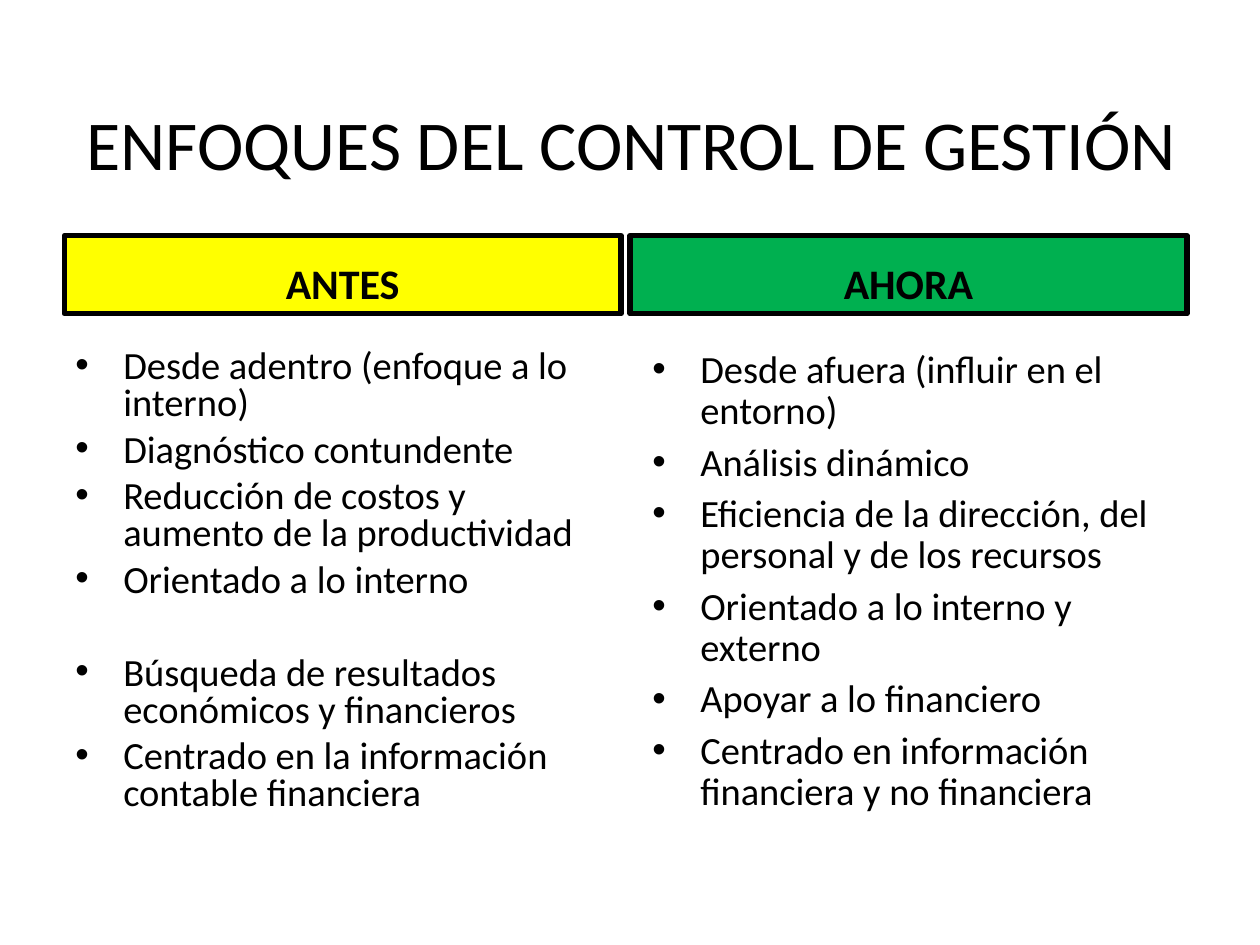
import pptx
import pptx.dml.color
import pptx.enum.shapes
import pptx.enum.text
import pptx.oxml.ns
import pptx.util
from lxml import etree
from pptx.util import Inches

BLACK = pptx.dml.color.RGBColor(0x00, 0x00, 0x00)
YELLOW = pptx.dml.color.RGBColor(0xFF, 0xFF, 0x00)
GREEN = pptx.dml.color.RGBColor(0x00, 0xB0, 0x50)
ALIGN = pptx.enum.text.PP_ALIGN
ANCHOR = pptx.enum.text.MSO_ANCHOR
FONT = "Calibri"
COLUMN_WIDTH = 4.42
ITEM_SPACE = 5.5
GROUP_SPACE = 32

BEFORE_GROUPS = [
    [
        "Desde adentro (enfoque a lo interno)",
        "Diagnóstico contundente",
        "Reducción de costos y aumento de la productividad",
        "Orientado a lo interno",
    ],
    [
        "Búsqueda de resultados económicos y financieros",
        "Centrado en la información contable financiera",
    ],
]
NOW_GROUPS = [
    [
        "Desde afuera (influir en el entorno)",
        "Análisis dinámico",
        "Eficiencia de la dirección, del personal y de los recursos",
        "Orientado a lo interno y externo",
        "Apoyar a lo financiero",
        "Centrado en información financiera y no financiera",
    ],
]


def add_span(para, text, size, bold=False):
    """Add one run of black text to a paragraph."""
    span = para.add_run()
    span.text = text
    span.font.name = FONT
    span.font.size = pptx.util.Pt(size)
    span.font.bold = bold
    span.font.color.rgb = BLACK


def add_title(page, text):
    """Add the centred slide title."""
    box = page.shapes.add_textbox(Inches(0.51), Inches(0.55), Inches(9), Inches(1.17))
    frame = box.text_frame
    frame.word_wrap = True
    frame.vertical_anchor = ANCHOR.MIDDLE
    para = frame.paragraphs[0]
    para.alignment = ALIGN.CENTER
    add_span(para, text, 40)


def add_header(page, left, text, fill):
    """Add a framed column header with its label at the bottom."""
    header = page.shapes.add_shape(
        pptx.enum.shapes.MSO_SHAPE.RECTANGLE,
        Inches(left), Inches(1.87), Inches(COLUMN_WIDTH), Inches(0.62),
    )
    header.shadow.inherit = False
    header.fill.solid()
    header.fill.fore_color.rgb = fill
    header.line.color.rgb = BLACK
    header.line.width = pptx.util.Pt(3)
    frame = header.text_frame
    frame.word_wrap = True
    frame.vertical_anchor = ANCHOR.BOTTOM
    para = frame.paragraphs[0]
    para.alignment = ALIGN.CENTER
    add_span(para, text, 24, bold=True)


def set_bullet(para):
    """Give a paragraph a hanging round bullet."""
    properties = para._p.get_or_add_pPr()
    properties.set("marL", str(Inches(0.38)))
    properties.set("indent", str(-Inches(0.38)))
    font = etree.SubElement(properties, pptx.oxml.ns.qn("a:buFont"))
    font.set("typeface", "Arial")
    bullet = etree.SubElement(properties, pptx.oxml.ns.qn("a:buChar"))
    bullet.set("char", "•")


def add_bullets(page, left, groups, line_spacing):
    """Add a bulleted column, with a wider gap between groups."""
    box = page.shapes.add_textbox(
        Inches(left), Inches(2.73), Inches(COLUMN_WIDTH), Inches(3.93)
    )
    frame = box.text_frame
    frame.word_wrap = True
    para = frame.paragraphs[0]
    for group_index, group in enumerate(groups):
        for item_index, item in enumerate(group):
            if group_index or item_index:
                para = frame.add_paragraph()
                space = ITEM_SPACE if item_index else GROUP_SPACE
                para.space_before = pptx.util.Pt(space)
            para.alignment = ALIGN.LEFT
            para.line_spacing = line_spacing
            set_bullet(para)
            add_span(para, item, 22)


def main():
    """Build the slide and save the deck."""
    deck = pptx.Presentation()
    deck.slide_width = Inches(10)
    deck.slide_height = Inches(7.5)
    page = deck.slides.add_slide(deck.slide_layouts[6])
    add_title(page, "ENFOQUES DEL CONTROL DE GESTIÓN")
    add_header(page, 0.51, "ANTES", YELLOW)
    add_bullets(page, 0.5, BEFORE_GROUPS, 0.8)
    add_header(page, 5, "AHORA", GREEN)
    add_bullets(page, 5.08, NOW_GROUPS, 0.9)
    deck.save("out.pptx")


if __name__ == "__main__":
    main()
